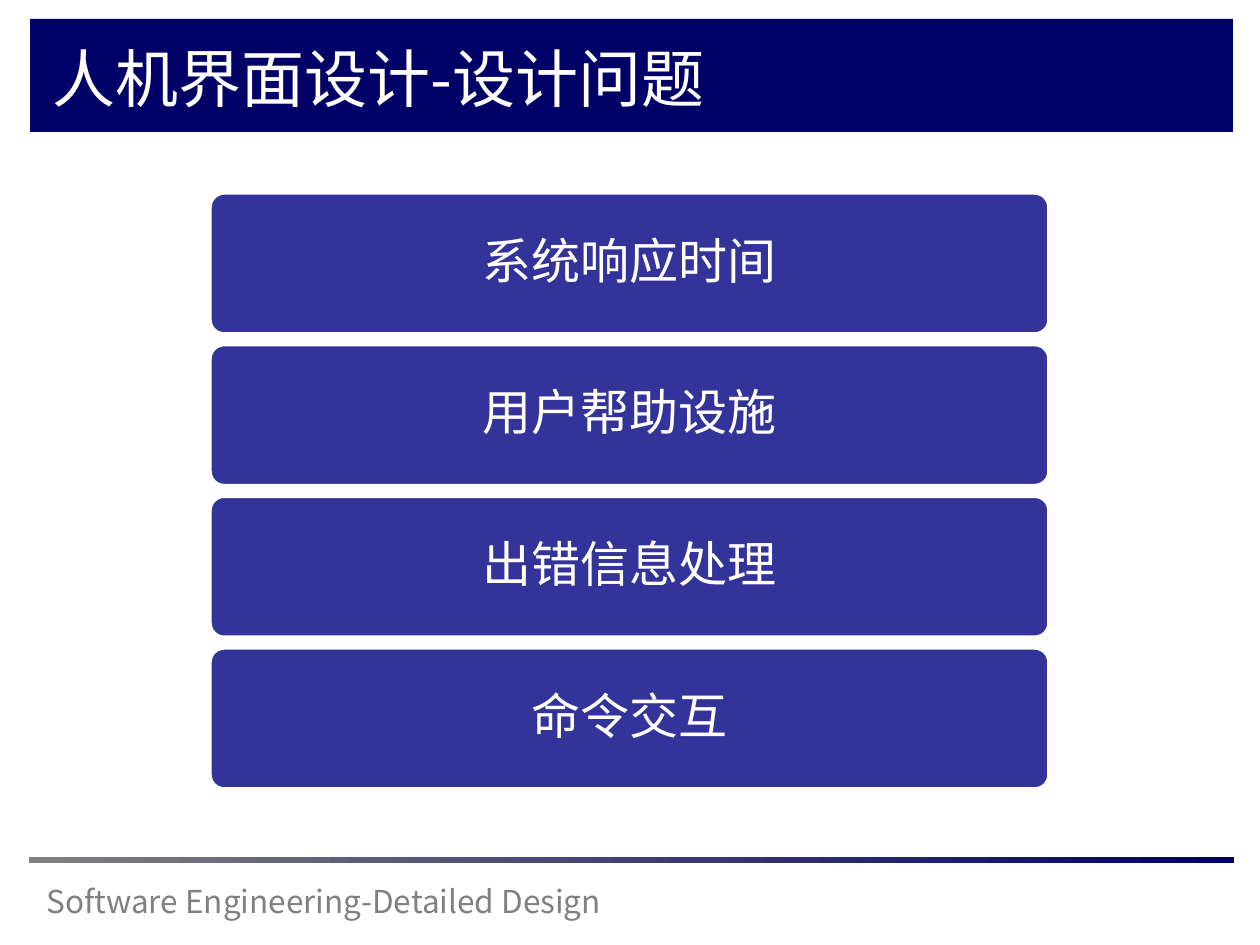
from lxml.etree import SubElement
from pptx import Presentation
from pptx.dml.color import RGBColor
from pptx.enum.shapes import MSO_SHAPE
from pptx.enum.text import MSO_ANCHOR, PP_ALIGN
from pptx.oxml.ns import qn
from pptx.util import Pt

EMU_PER_PX = 914400 / 126
FONT = "Noto Sans CJK SC"
COLORS = {
    "navy": "000066",
    "indigo": "333399",
    "gray": "808080",
    "white": "FFFFFF",
}
TOPICS = ["系统响应时间", "用户帮助设施", "出错信息处理", "命令交互"]


def px(n):
    return round(n * EMU_PER_PX)


def rgb(name):
    return RGBColor.from_string(COLORS[name])


def add_block(slide, box, fill=None, shape=MSO_SHAPE.RECTANGLE):
    sp = slide.shapes.add_shape(shape, *map(px, box))
    sp.shadow.inherit = False
    sp.line.fill.background()
    if fill:
        sp.fill.solid()
        sp.fill.fore_color.rgb = rgb(fill)
    return sp


def write(sp, text, size, color, frame=None, para=None):
    """Put one styled paragraph in sp; frame and para hold extra format values."""
    tf = sp.text_frame
    p = tf.paragraphs[0]
    r = p.add_run()
    r.text = text
    for target, values in (
        (tf, {"word_wrap": True, **(frame or {})}),
        (p, para or {}),
        (r.font, {"size": Pt(size), "name": FONT}),
    ):
        for name, value in values.items():
            setattr(target, name, value)
    r.font.color.rgb = rgb(color)
    SubElement(r.font._element, qn("a:ea"), typeface=FONT)


def add_title(slide, x, y, w, h):
    add_block(slide, (x, y, w, h), "navy")
    tb = slide.shapes.add_textbox(*map(px, (x + 10, y + 14, w - 93, h - 20)))
    write(tb, "人机界面设计-设计问题", 36, "white")


def add_topics(slide, x, y, w, h, topics, item_h=141):
    """Stack equal rounded boxes, spread evenly over the height h."""
    pitch = (h - item_h) / (len(topics) - 1)
    inset = px(19)
    frame = {"vertical_anchor": MSO_ANCHOR.MIDDLE}
    for side in ("left", "right", "top", "bottom"):
        frame[f"margin_{side}"] = inset
    para = {"alignment": PP_ALIGN.CENTER, "line_spacing": 0.9}
    for i, topic in enumerate(topics):
        box = (x, y + i * pitch, w, item_h)
        sp = add_block(slide, box, "indigo", MSO_SHAPE.ROUNDED_RECTANGLE)
        sp.adjustments[0] = 0.1
        sp.line.color.rgb = rgb("white")
        sp.line.width = Pt(2)
        write(sp, topic, 28, "white", frame, para)


def add_footer(slide, x, y, w, h):
    rule = add_block(slide, (x, y, w, 6))
    rule.fill.gradient()
    rule.fill.gradient_angle = 0
    for stop, color, position in zip(
        rule.fill.gradient_stops, ("gray", "navy"), (0, 1)
    ):
        stop.color.rgb = rgb(color)
        stop.position = position
    tb = slide.shapes.add_textbox(*map(px, (x + 5, y + 19, 651, h - 19)))
    write(tb, "Software Engineering-Detailed Design", 18, "gray")


def main():
    prs = Presentation()
    prs.slide_width, prs.slide_height = px(1260), px(945)
    slide = prs.slides.add_slide(prs.slide_layouts[6])
    add_title(slide, 30, 19, 1203, 113)
    add_topics(slide, 210, 193, 839, 596, TOPICS)
    add_footer(slide, 29, 857, 1205, 69)
    prs.save("out.pptx")


if __name__ == "__main__":
    main()
